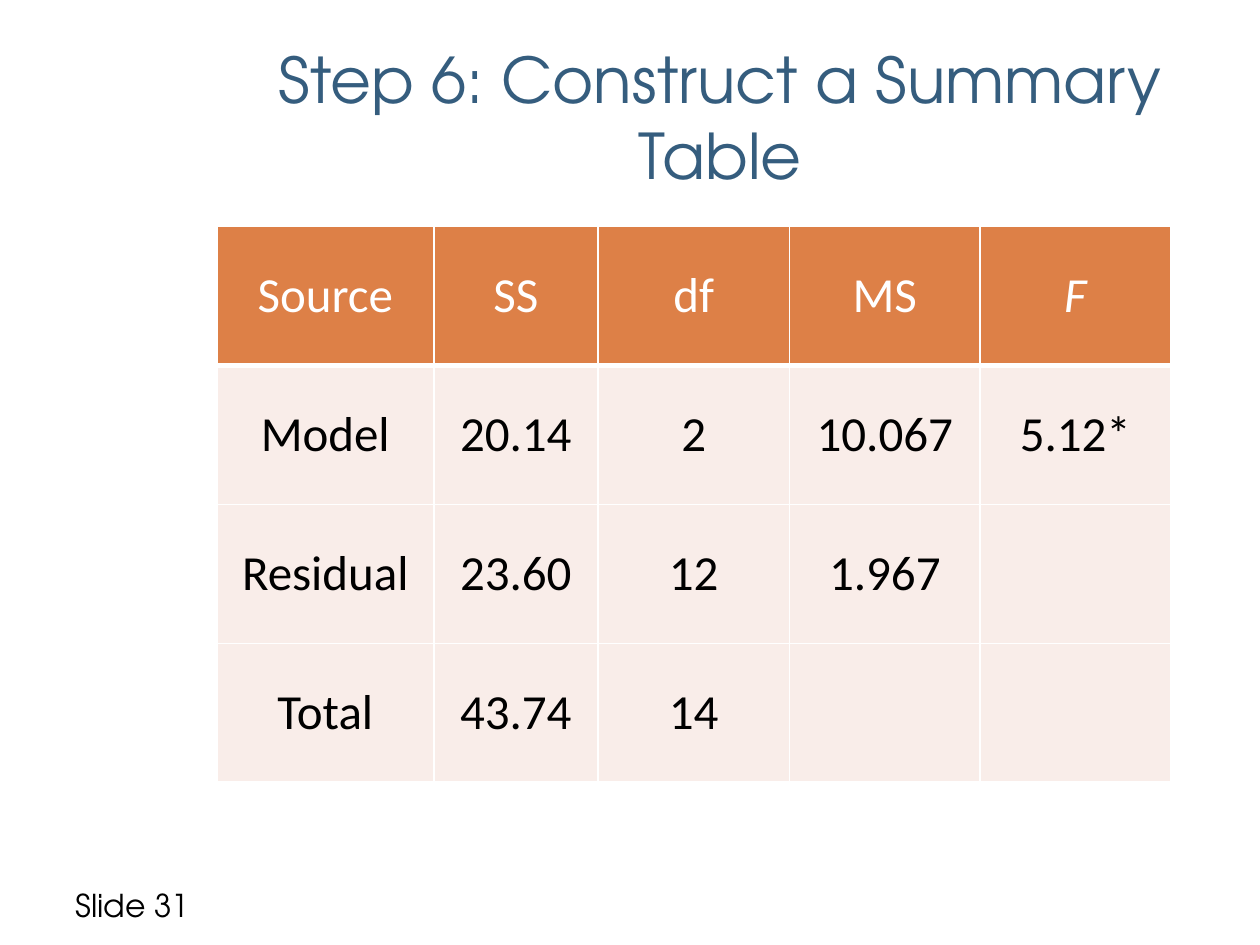
from pptx import Presentation
from pptx.dml.color import RGBColor
from pptx.enum.text import MSO_ANCHOR as Anchor, MSO_AUTO_SIZE as AutoSize, PP_ALIGN as Align
from pptx.oxml import parse_xml
from pptx.oxml.ns import nsdecls
from pptx.util import Cm, Pt

WHITE = RGBColor(0xFF, 0xFF, 0xFF)
BLACK = RGBColor(0x00, 0x00, 0x00)
BLUE = RGBColor(0x35, 0x5D, 0x7E)
ORANGE = RGBColor(0xDD, 0x80, 0x47)
PALE_PINK = RGBColor(0xF9, 0xED, 0xE9)
HEADING_FONT = "TeX Gyre Adventor"
TABLE_FONT = "Calibri"

SUMMARY_ROWS = [
    ["Source", "SS", "df", "MS", "F"],
    ["Model", "20.14", "2", "10.067", "5.12*"],
    ["Residual", "23.60", "12", "1.967", ""],
    ["Total", "43.74", "14", "", ""],
]
COLUMN_SHARES = [1.72, 1.3, 1.52, 1.51, 1.51]


def format_paragraph(paragraph, font_name, size, color, alignment):
    paragraph.alignment = alignment
    for run in paragraph.runs:
        run.font.name = font_name
        run.font.size = Pt(size)
        run.font.color.rgb = color


def place_title(slide, left, top, width, height):
    title = slide.shapes.title
    title.left, title.top, title.width, title.height = left, top, width, height
    text_frame = title.text_frame
    text_frame.text = "Step 6: Construct a Summary Table"
    text_frame.word_wrap = True
    text_frame.auto_size = AutoSize.NONE
    text_frame.vertical_anchor = Anchor.MIDDLE
    format_paragraph(text_frame.paragraphs[0], HEADING_FONT, 36, BLUE, Align.CENTER)


def add_slide_label(slide, left, top, width, height):
    text_frame = slide.shapes.add_textbox(left, top, width, height).text_frame
    text_frame.text = "Slide 31"
    text_frame.word_wrap = True
    format_paragraph(text_frame.paragraphs[0], HEADING_FONT, 18, BLACK, Align.LEFT)


def set_borders(cell, widths):
    properties = cell._tc.get_or_add_tcPr()
    for side, width in widths.items():
        properties.append(parse_xml(
            f'<a:ln{side} {nsdecls("a")} w="{Pt(width)}"><a:solidFill>'
            f'<a:srgbClr val="{WHITE}"/></a:solidFill></a:ln{side}>'))


def format_cell(cell, text, is_header, is_below_header):
    set_borders(cell, {"L": 1, "R": 1, "T": 3 if is_below_header else 1,
                       "B": 3 if is_header else 1})
    cell.fill.solid()
    cell.fill.fore_color.rgb = ORANGE if is_header else PALE_PINK
    cell.vertical_anchor = Anchor.MIDDLE
    cell.text_frame.text = text
    paragraph = cell.text_frame.paragraphs[0]
    format_paragraph(paragraph, TABLE_FONT, 28, WHITE if is_header else BLACK, Align.CENTER)
    for run in paragraph.runs:
        run.font.bold = False
        run.font.italic = text == "F"


def add_summary_table(slide, left, top, width, height):
    row_count, column_count = len(SUMMARY_ROWS), len(COLUMN_SHARES)
    table = slide.shapes.add_table(row_count, column_count, left, top, width, height).table
    for column, share in zip(table.columns, COLUMN_SHARES):
        column.width = int(width * share / sum(COLUMN_SHARES))
    for row_index, texts in enumerate(SUMMARY_ROWS):
        table.rows[row_index].height = height // row_count
        for column_index, text in enumerate(texts):
            format_cell(table.cell(row_index, column_index), text,
                        row_index == 0, row_index == 1)


def main():
    presentation = Presentation()
    presentation.slide_width, presentation.slide_height = Cm(25.4), Cm(19.05)
    slide = presentation.slides.add_slide(presentation.slide_layouts[5])
    add_slide_label(slide, Cm(1.27), Cm(17.73), Cm(5.92), Cm(0.94))
    place_title(slide, Cm(4.9), Cm(0.76), Cm(19.23), Cm(3.18))
    add_summary_table(slide, Cm(4.37), Cm(4.57), Cm(19.23), Cm(11.2))
    presentation.save("out.pptx")


if __name__ == "__main__":
    main()
